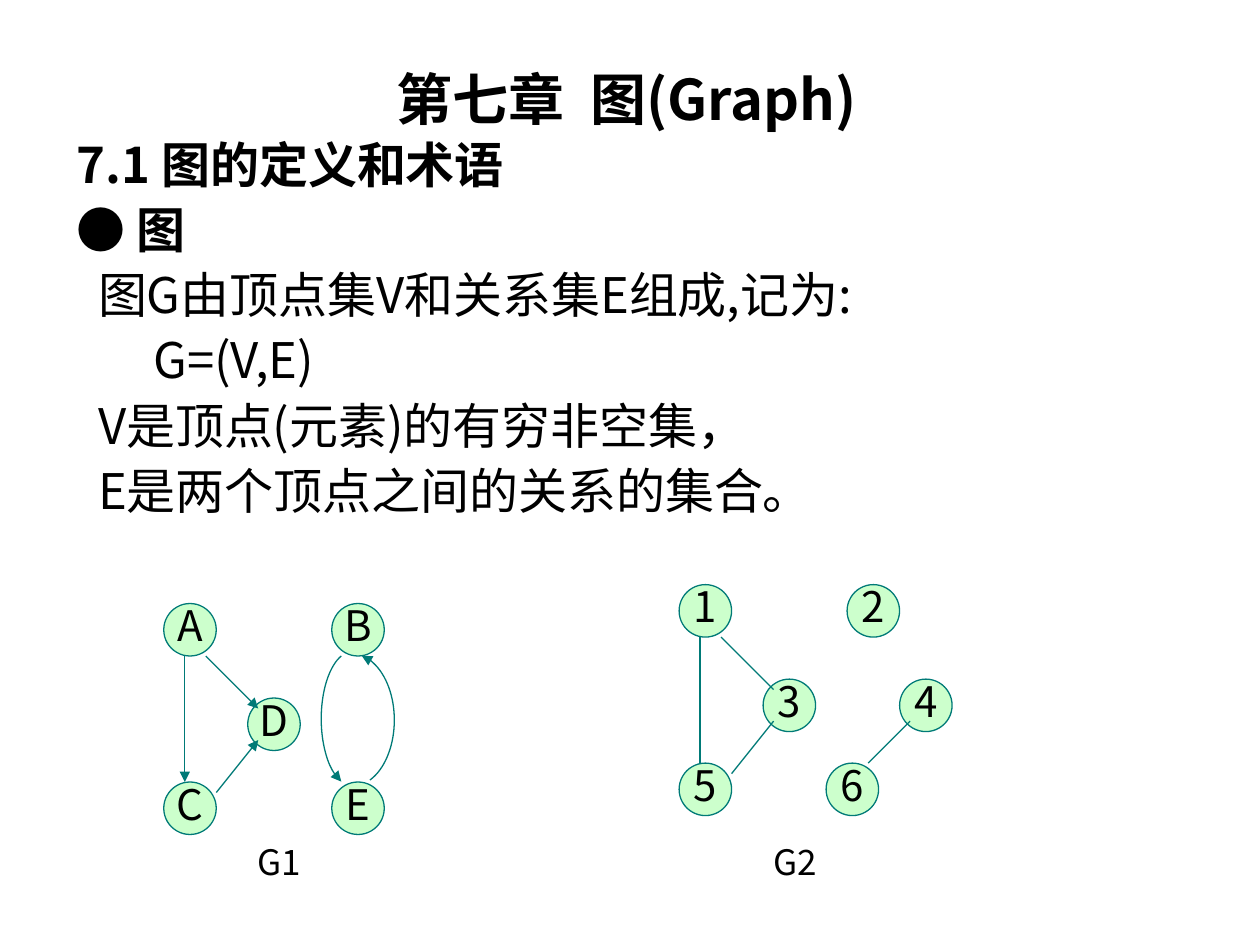
from dataclasses import dataclass

from lxml import etree
from pptx import Presentation
from pptx import util as u
from pptx.dml.color import RGBColor
from pptx.enum import shapes, text
from pptx.oxml.ns import qn


@dataclass(frozen=True)
class Theme:
    font: str = "Noto Sans CJK SC"
    ink: str = "000000"
    node: str = "CCFFCC"
    edge: str = "007A77"
    edge_width: float = 0.75
    title_size: int = 32
    body_size: int = 28
    node_size: int = 24
    label_size: int = 20


THEME = Theme()
CELL = 1 / 12
NODE_CELLS = 5
HANGING = 0.38
ARC_UNITS_PER_DEGREE = 0.6

TITLE = [("第七章", 0), (" ", 7.4), ("图(Graph)", 0)]

BODY = [
    (0, [("7.1 图的定义和术语", True)]),
    (0, [("● ", False), ("图", True)]),
    (0.17, [("图G由顶点集V和关系集E组成,记为:", False)]),
    (0.61, [("G=(V,E)", False)]),
    (0.17, [("V是顶点(元素)的有穷非空集，", False)]),
    (0.17, [("E是两个顶点之间的关系的集合。", False)]),
]

TRIANGLE_EDGES = [((2, 5), (2, 17)), ((4, 5), (9, 10)), ((5, 18), (9, 13))]

GRAPHS = [
    {
        "origin": (1.3, 4.79),
        "nodes": {"A": (0, 0), "B": (16, 0), "C": (0, 17), "E": (16, 17), "D": (8, 9)},
        "edges": TRIANGLE_EDGES,
        "arcs": [
            ((13.92, 4.8), (8.04, 12.6), (278.5, 73.4)),
            ((15, 4.56), (6, 12.84), (100.3, 259.7)),
        ],
        "directed": True,
        "label": ("G1", (7.7, 22)),
    },
    {
        "origin": (5.39, 4.64),
        "nodes": {"1": (0, 0), "2": (16, 0), "5": (0, 17), "6": (14, 17),
                  "3": (8, 9), "4": (21, 9)},
        "edges": TRIANGLE_EDGES + [((18, 17), (22, 13))],
        "arcs": [],
        "directed": False,
        "label": ("G2", (7.8, 23.8)),
    },
]


def apply_format(target, values):
    for name, value in values.items():
        setattr(target, name, value)


def inches(*values):
    return [u.Inches(value) for value in values]


def grid_point(origin, cell):
    return inches(*(start + step * CELL for start, step in zip(origin, cell)))


def add_run(paragraph, words, size, bold=False, spacing=0):
    run = paragraph.add_run()
    run.text = words
    apply_format(run.font, {"name": THEME.font, "size": u.Pt(size), "bold": bold})
    run.font.color.rgb = RGBColor.from_string(THEME.ink)
    east_asian = etree.SubElement(run.font._element, qn("a:ea"))
    east_asian.set("typeface", THEME.font)
    if spacing:
        run.font._element.set("spc", str(round(spacing * 100)))


def style_line(shape, arrow_tag=None):
    shape.line.color.rgb = RGBColor.from_string(THEME.edge)
    shape.line.width = u.Pt(THEME.edge_width)
    if arrow_tag:
        arrow = etree.SubElement(shape.line._get_or_add_ln(), qn(arrow_tag))
        arrow.set("type", "triangle")


def add_title(slide):
    title = slide.shapes.title
    left, top, width, height = inches(2.85, 0.49, 4.25, 0.58)
    apply_format(title, {"left": left, "top": top, "width": width, "height": height})
    apply_format(title.text_frame, {
        "word_wrap": True,
        "auto_size": text.MSO_AUTO_SIZE.NONE,
        "vertical_anchor": text.MSO_ANCHOR.MIDDLE,
    })
    paragraph = title.text_frame.paragraphs[0]
    paragraph.alignment = text.PP_ALIGN.CENTER
    for words, spacing in TITLE:
        add_run(paragraph, words, THEME.title_size, bold=True, spacing=spacing)


def add_body(slide):
    frame = slide.shapes.add_textbox(*inches(0.51, 1.07, 7.01, 4.18)).text_frame
    apply_format(frame, {"word_wrap": True, "margin_right": u.Inches(0.2)})
    for index, (offset, runs) in enumerate(BODY):
        paragraph = frame.add_paragraph() if index else frame.paragraphs[0]
        apply_format(paragraph, {"line_spacing": 0.9, "space_before": u.Pt(7)})
        properties = paragraph._p.get_or_add_pPr()
        properties.set("marL", str(u.Inches(HANGING)))
        properties.set("indent", str(u.Inches(offset - HANGING)))
        for words, bold in runs:
            add_run(paragraph, words, THEME.body_size, bold)


def add_node(slide, origin, name, cell):
    size = u.Inches(NODE_CELLS * CELL)
    node = slide.shapes.add_shape(
        shapes.MSO_SHAPE.OVAL, *grid_point(origin, cell), size, size)
    node.shadow.inherit = False
    node.fill.solid()
    node.fill.fore_color.rgb = RGBColor.from_string(THEME.node)
    style_line(node)
    apply_format(node.text_frame, {
        "word_wrap": False, "vertical_anchor": text.MSO_ANCHOR.MIDDLE})
    paragraph = node.text_frame.paragraphs[0]
    apply_format(paragraph, {"alignment": text.PP_ALIGN.CENTER, "line_spacing": 0.8})
    add_run(paragraph, name, THEME.node_size)


def add_edge(slide, origin, start, end, directed):
    edge = slide.shapes.add_connector(
        shapes.MSO_CONNECTOR.STRAIGHT, *grid_point(origin, start), *grid_point(origin, end))
    style_line(edge, "a:tailEnd" if directed else None)
    etree.SubElement(edge._element.spPr, qn("a:effectLst"))


def add_arc(slide, origin, corner, size, angles):
    arc = slide.shapes.add_shape(
        shapes.MSO_SHAPE.ARC, *grid_point(origin, corner), *grid_point((0, 0), size))
    for index, angle in enumerate(angles):
        arc.adjustments[index] = angle * ARC_UNITS_PER_DEGREE
    arc.shadow.inherit = False
    arc.fill.background()
    style_line(arc, "a:headEnd")


def add_label(slide, origin, words, cell):
    label = slide.shapes.add_textbox(*grid_point(origin, cell), *inches(0.56, 0.44))
    apply_format(label.text_frame, {
        "word_wrap": False, "auto_size": text.MSO_AUTO_SIZE.SHAPE_TO_FIT_TEXT})
    add_run(label.text_frame.paragraphs[0], words, THEME.label_size)


def add_graph(slide, graph):
    origin = graph["origin"]
    for name, cell in graph["nodes"].items():
        add_node(slide, origin, name, cell)
    for start, end in graph["edges"]:
        add_edge(slide, origin, start, end, graph["directed"])
    for corner, size, angles in graph["arcs"]:
        add_arc(slide, origin, corner, size, angles)
    add_label(slide, origin, *graph["label"])


def main():
    presentation = Presentation()
    apply_format(presentation, {
        "slide_width": u.Inches(10), "slide_height": u.Inches(7.5)})
    slide = presentation.slides.add_slide(
        presentation.slide_layouts.get_by_name("Title Only"))
    add_title(slide)
    add_body(slide)
    for graph in GRAPHS:
        add_graph(slide, graph)
    presentation.save("out.pptx")


if __name__ == "__main__":
    main()
